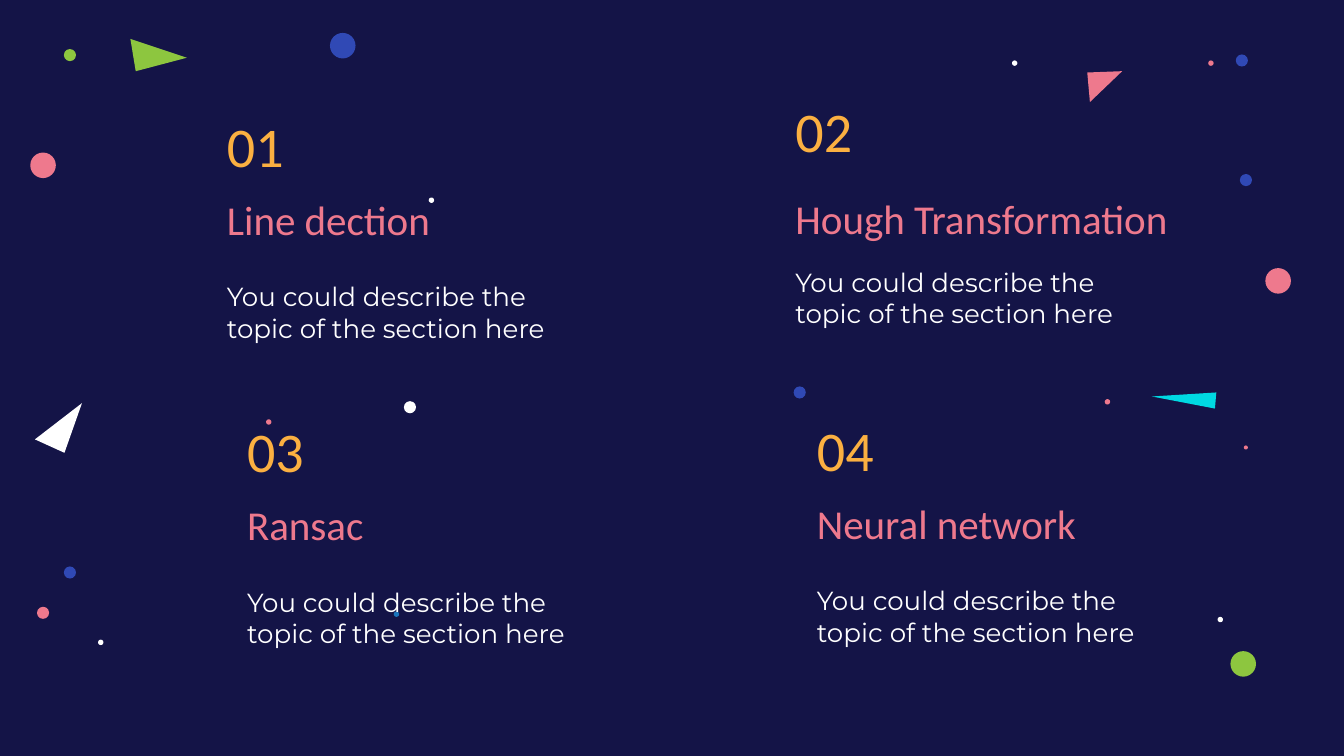
from typing import NamedTuple

from pptx import Presentation
from pptx.dml.color import RGBColor
from pptx.enum.shapes import MSO_SHAPE
from pptx.enum.text import MSO_ANCHOR
from pptx.util import Inches, Pt

OVAL = MSO_SHAPE.OVAL
TOP, MIDDLE, BOTTOM = MSO_ANCHOR.TOP, MSO_ANCHOR.MIDDLE, MSO_ANCHOR.BOTTOM

NAVY, PINK, BLUE, SKY = "141447", "EE798D", "3049B5", "1B75BC"
WHITE, GREEN, CYAN, AMBER = "FFFFFF", "8DC63F", "00D9E2", "FBB041"
SPECK, TINY, SMALL, LARGE = 0.03, 0.04, 0.09, 0.19
SLIDE_WIDTH = 10
SLIDE_HEIGHT = SLIDE_WIDTH * 9 / 16
DESCRIPTION = "You could describe the topic of the section here"
DESCRIPTION_OFFSET = 1.21


class Dot(NamedTuple):
    x: float
    y: float
    diameter: float
    color: str


class Triangle(NamedTuple):
    corners: tuple
    color: str


class TextStyle(NamedTuple):
    anchor: MSO_ANCHOR
    font: dict
    color: str
    space_after: float = 0


class Section(NamedTuple):
    number: str
    topic: str
    left: float
    top: float
    topic_box: tuple = (0.56, 2.56, 0.58)


NUMBER_STYLE = TextStyle(BOTTOM, {"name": "Calibri", "size": Pt(30)}, AMBER)
TOPIC_STYLE = TextStyle(MIDDLE, {"name": "Calibri", "size": Pt(22)}, PINK)
DESCRIPTION_STYLE = TextStyle(TOP, {"name": "Montserrat", "size": Pt(14)}, WHITE, 16)

DOTS = [
    Dot(9.27, 3.33, SPECK, PINK),
    Dot(9.51, 2.09, LARGE, PINK),
    Dot(9.27, 1.34, SMALL, BLUE),
    Dot(9.24, 0.45, SMALL, BLUE),
    Dot(2.95, 4.57, TINY, SKY),
    Dot(9.01, 0.47, TINY, PINK),
    Dot(2, 3.14, TINY, PINK),
    Dot(8.24, 2.99, TINY, PINK),
    Dot(9.08, 4.61, TINY, WHITE),
    Dot(3.21, 1.49, TINY, WHITE),
    Dot(0.75, 4.78, TINY, WHITE),
    Dot(7.55, 0.47, TINY, WHITE),
    Dot(0.32, 4.56, SMALL, PINK),
    Dot(3.05, 3.03, SMALL, WHITE),
    Dot(0.52, 0.41, SMALL, GREEN),
    Dot(0.52, 4.26, SMALL, BLUE),
    Dot(5.95, 2.92, SMALL, BLUE),
    Dot(9.25, 4.94, LARGE, GREEN),
    Dot(2.55, 0.34, LARGE, BLUE),
    Dot(0.32, 1.23, LARGE, PINK),
]

SECTIONS = [
    Section("01", "Line dection", 1.59, 0.78),
    Section("02", "Hough Transformation", 5.82, 0.67, (0.57, 3.15, 0.77)),
    Section("03", "Ransac", 1.74, 3.05),
    Section("04", "Neural network", 5.98, 3.04),
]

TRIANGLES = [
    Triangle(((0.97, 0.29), (1.01, 0.53), (1.39, 0.43)), GREEN),
    Triangle(((9.05, 2.92), (8.57, 2.95), (9.04, 3.04)), CYAN),
    Triangle(((8.35, 0.53), (8.09, 0.54), (8.11, 0.76)), PINK),
    Triangle(((0.26, 3.27), (0.48, 3.37), (0.61, 3)), WHITE),
]


def paint(fill, color: str) -> None:
    """Make a fill solid in a hex colour."""
    fill.solid()
    fill.fore_color.rgb = RGBColor.from_string(color)


def finish(shape, color: str) -> None:
    """Leave a shape flat, filled and without an outline."""
    paint(shape.fill, color)
    shape.line.fill.background()
    shape.shadow.inherit = False


def draw_dot(slide, dot: Dot) -> None:
    """Draw a dot around its centre."""
    size = Inches(dot.diameter)
    left = Inches(dot.x - dot.diameter / 2)
    top = Inches(dot.y - dot.diameter / 2)
    finish(slide.shapes.add_shape(OVAL, left, top, size, size), dot.color)


def draw_triangle(slide, triangle: Triangle) -> None:
    """Draw a closed triangle through its corners."""
    start, *others = [(Inches(x), Inches(y)) for x, y in triangle.corners]
    builder = slide.shapes.build_freeform(*start)
    builder.add_line_segments(others, close=True)
    finish(builder.convert_to_shape(), triangle.color)


def write(slide, text: str, box: tuple, style: TextStyle) -> None:
    """Write one wrapped paragraph in a box of left, top, width and height."""
    frame = slide.shapes.add_textbox(*map(Inches, box)).text_frame
    frame_format = {"word_wrap": True, "vertical_anchor": style.anchor}
    for side in ("left", "top", "right", "bottom"):
        frame_format[f"margin_{side}"] = Inches(0.1)
    for attribute, value in frame_format.items():
        setattr(frame, attribute, value)
    paragraph = frame.paragraphs[0]
    paragraph.space_after = Pt(style.space_after)
    run = paragraph.add_run()
    run.text = text
    for attribute, value in style.font.items():
        setattr(run.font, attribute, value)
    paint(run.font.fill, style.color)


def draw_section(slide, section: Section) -> None:
    """Write the topic, number and description of a section."""
    left, top = section.left, section.top
    topic_offset, *topic_size = section.topic_box
    description_top = top + DESCRIPTION_OFFSET
    write(slide, section.topic, (left, top + topic_offset, *topic_size), TOPIC_STYLE)
    write(slide, section.number, (left, top, 1.39, 0.65), NUMBER_STYLE)
    write(slide, DESCRIPTION, (left, description_top, 2.66, 0.53), DESCRIPTION_STYLE)


def main() -> None:
    """Build the slide and save it."""
    deck = Presentation()
    deck.slide_width, deck.slide_height = Inches(SLIDE_WIDTH), Inches(SLIDE_HEIGHT)
    slide = deck.slides.add_slide(deck.slide_layouts[6])
    paint(slide.background.fill, NAVY)
    for dot in DOTS:
        draw_dot(slide, dot)
    for section in SECTIONS:
        draw_section(slide, section)
    for triangle in TRIANGLES:
        draw_triangle(slide, triangle)
    deck.save("out.pptx")


if __name__ == "__main__":
    main()
